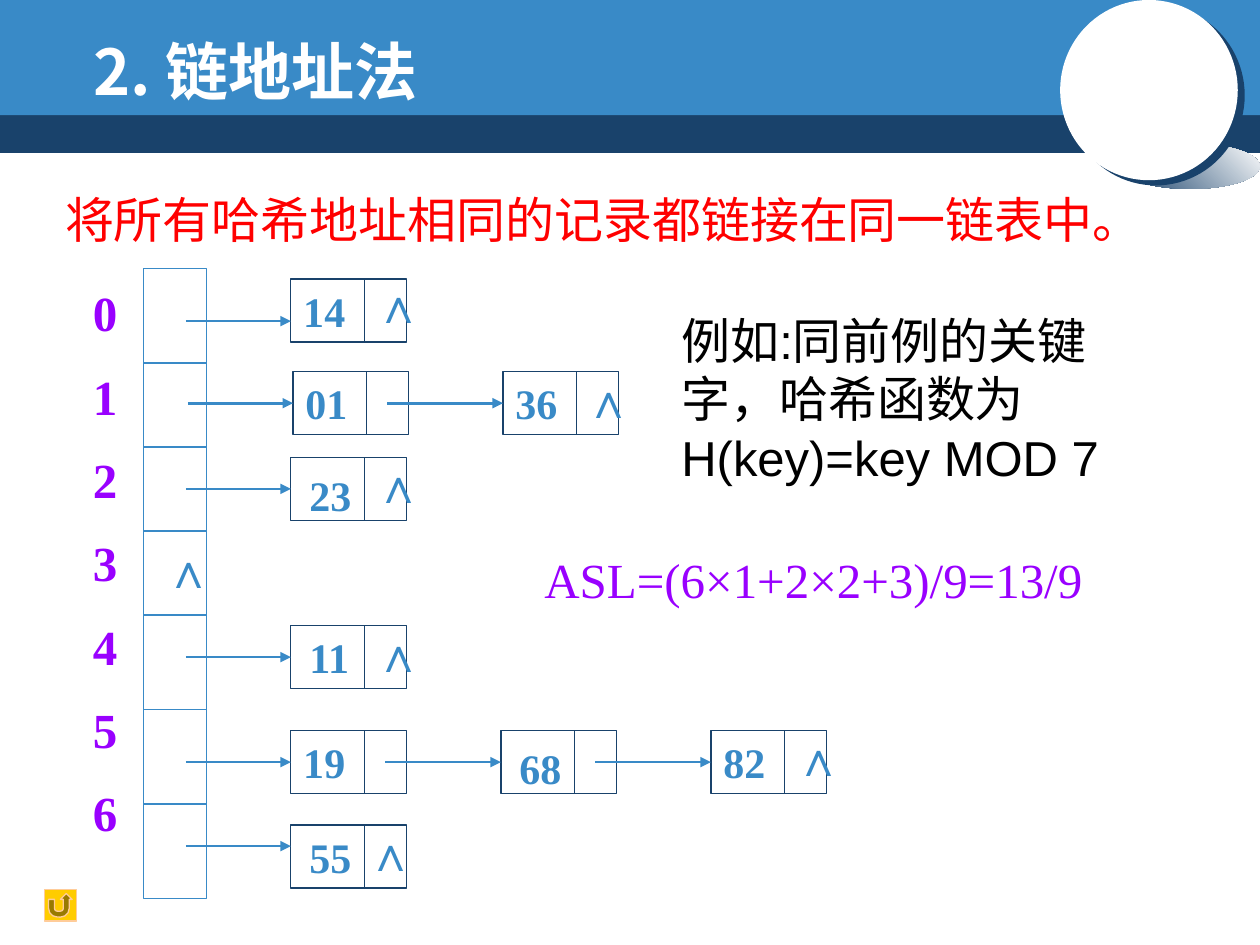
"""Build the slide on chained hashing."""
from itertools import accumulate

from lxml.etree import SubElement
from pptx import Presentation
from pptx.dml.color import RGBColor
from pptx.enum.shapes import MSO_CONNECTOR, MSO_SHAPE
from pptx.enum.text import MSO_ANCHOR, MSO_AUTO_SIZE, PP_ALIGN
from pptx.oxml.ns import qn
from pptx.util import Pt

NAVY = RGBColor(0x19, 0x42, 0x6B)
BLUE = RGBColor(0x39, 0x8A, 0xC7)
WHITE = RGBColor(0xFF, 0xFF, 0xFF)
BLACK = RGBColor(0, 0, 0)
RED = RGBColor(0xFF, 0, 0)
VIOLET = RGBColor(0x99, 0, 0xFF)
GOLD = RGBColor(0xFF, 0xCC, 0)
PEACH = RGBColor(0xFF, 0xCC, 0x99)
TIMES, SANS, HAN = "Times New Roman", "Arial", "Noto Sans CJK SC"

TITLE = "2. 链地址法"
RULE = "将所有哈希地址相同的记录都链接在同一链表中。"
CASE = "例如:同前例的关键字，哈希函数为 H(key)=key MOD 7"
COST = "ASL=(6×1+2×2+3)/9=13/9"
NULL = "∧"
SLOTS = [54, 48, 48, 48, 54, 54, 54]
TABLE = (82.1, 153.4, 36)
NODE_W, NODE_H, SPLIT, STEP = 66.2, 36, 42, 120
CHAINS = [
    dict(left=166.2, top=159.5, drop=24, null=(40.5, -6), nodes=[("14", 0, 0)]),
    dict(left=167.4, top=212.4, drop=18, null=(39.5, -5), nodes=[("01", 0, 0), ("36", 0, 0)]),
    dict(left=166.2, top=261.4, drop=18, null=(40.5, -5), nodes=[("23", 3.4, 3.4)]),
    dict(left=166.2, top=357.5, drop=18, null=(40.5, -5), nodes=[("11", 3.4, 0)]),
    dict(left=166.2, top=417.5, drop=18, null=(40.5, -5.5),
         nodes=[("19", 0, 0), ("68", 3.4, 3), ("82", 0, 0)]),
    dict(left=166.2, top=471.5, drop=12, null=(36, -5), nodes=[("55", 3.4, 0)]),
]

deck = Presentation()
deck.slide_width, deck.slide_height = Pt(720), Pt(540)
slide = deck.slides.add_slide(deck.slide_layouts[1])
shapes = slide.shapes


def style(frame, text, size, color, face=TIMES, bold=False, gap=0):
    frame.text = text
    for i, para in enumerate(frame.paragraphs):
        para.alignment = PP_ALIGN.LEFT
        para.space_before = Pt(gap if i else 0)
        para._p.get_or_add_pPr().set("hangingPunct", "0")
        for run in para.runs:
            font = run.font
            font.name, font.size, font.bold = face, Pt(size), bold
            font.color.rgb = color


def label(box, *args, wrap=True, **kw):
    frame = shapes.add_textbox(*map(Pt, box)).text_frame
    frame.word_wrap = wrap
    style(frame, *args, **kw)


def shape(kind, box, fill=None, edge=None):
    item = shapes.add_shape(kind, *map(Pt, box))
    item.shadow.inherit = False
    if fill is None:
        item.fill.background()
    else:
        item.fill.solid()
        item.fill.fore_color.rgb = fill
    if edge is None:
        item.line.fill.background()
    else:
        item.line.color.rgb, item.line.width = edge, Pt(0.75)
    return item


def line(x1, y1, x2, y2, color, width=0.75, head=False):
    item = shapes.add_connector(MSO_CONNECTOR.STRAIGHT, *map(Pt, (x1, y1, x2, y2)))
    item.line.color.rgb, item.line.width = color, Pt(width)
    if head:
        SubElement(item.line._get_or_add_ln(), qn("a:tailEnd"), type="triangle")
    SubElement(item._element.spPr, qn("a:effectLst"))


def place(holder, box, *args, **kw):
    holder.left, holder.top, holder.width, holder.height = map(Pt, box)
    frame = holder.text_frame
    frame.auto_size = MSO_AUTO_SIZE.NONE
    frame.vertical_anchor = MSO_ANCHOR.TOP
    style(frame, *args, **kw)
    props = frame.paragraphs[0]._p.get_or_add_pPr()
    props.set("marL", "0")
    props.set("indent", "0")
    SubElement(props, qn("a:buNone"))
    shapes._spTree.append(holder._element)


def banner():
    shape(MSO_SHAPE.RECTANGLE, (0, 62.6, 720, 24.8), NAVY)
    shape(MSO_SHAPE.RECTANGLE, (0, 0, 720, 65.8), BLUE)
    shade = shape(MSO_SHAPE.OVAL, (640, 82, 80, 26), NAVY)
    shade.fill.gradient()
    shade.fill.gradient_angle = 45
    for stop, color in zip(shade.fill.gradient_stops, (NAVY, WHITE)):
        stop.color.rgb = color
    disc = shape(MSO_SHAPE.OVAL, (605.8, 0, 101.5, 103), WHITE)
    glow = SubElement(disc._element.spPr.find(qn("a:effectLst")), qn("a:outerShdw"),
                      dist=str(Pt(5)), dir=str(37 * 60000), algn="ctr", rotWithShape="0")
    SubElement(glow, qn("a:srgbClr"), val=str(NAVY))


def table():
    x, y, w = TABLE
    shape(MSO_SHAPE.RECTANGLE, (x, y, w, sum(SLOTS)), edge=BLUE)
    for drop in list(accumulate(SLOTS))[:-1]:
        line(x, y + drop, x + w, y + drop, BLUE)
    digits = "\n".join(str(i) for i in range(len(SLOTS)))
    label((46, 158, 42, 344), digits, 28, VIOLET, bold=True, gap=14)
    label((86.8, 304.6, 31.7, 41), NULL, 28, BLUE, bold=True, wrap=False)


def chain(left, top, drop, null, nodes):
    for i, (key, dx, dy) in enumerate(nodes):
        x = left + i * STEP
        frame = shape(MSO_SHAPE.RECTANGLE, (x, top, NODE_W, NODE_H), edge=NAVY).text_frame
        frame.vertical_anchor = MSO_ANCHOR.MIDDLE
        frame.margin_left, frame.margin_top = Pt(7.2 + dx), Pt(3.6 + 2 * dy)
        style(frame, key, 24, BLUE, bold=True)
        line(x + SPLIT, top, x + SPLIT, top + NODE_H, NAVY)
        tail = x - 66 if i else x - 60
        line(tail, top + drop, x, top + drop, BLUE, 1.5, head=True)
    label((x + null[0], top + null[1], 31.7, 41), NULL, 28, BLUE, bold=True, wrap=False)


banner()
place(shapes.title, (46.3, 14.8, 247, 50.4), TITLE, 36, WHITE, HAN, bold=True)
place(slide.placeholders[1], (30, 104.5, 642, 44), RULE, 28, RED, SANS)
table()
for row in CHAINS:
    chain(**row)
shape(MSO_SHAPE.ACTION_BUTTON_RETURN, (25.5, 508.3, 18, 18), GOLD, PEACH)
label((304, 310.3, 347, 41), COST, 28, VIOLET, wrap=False)
label((382.3, 173.7, 300.2, 108), CASE, 28, BLACK, SANS)
deck.save("out.pptx")
